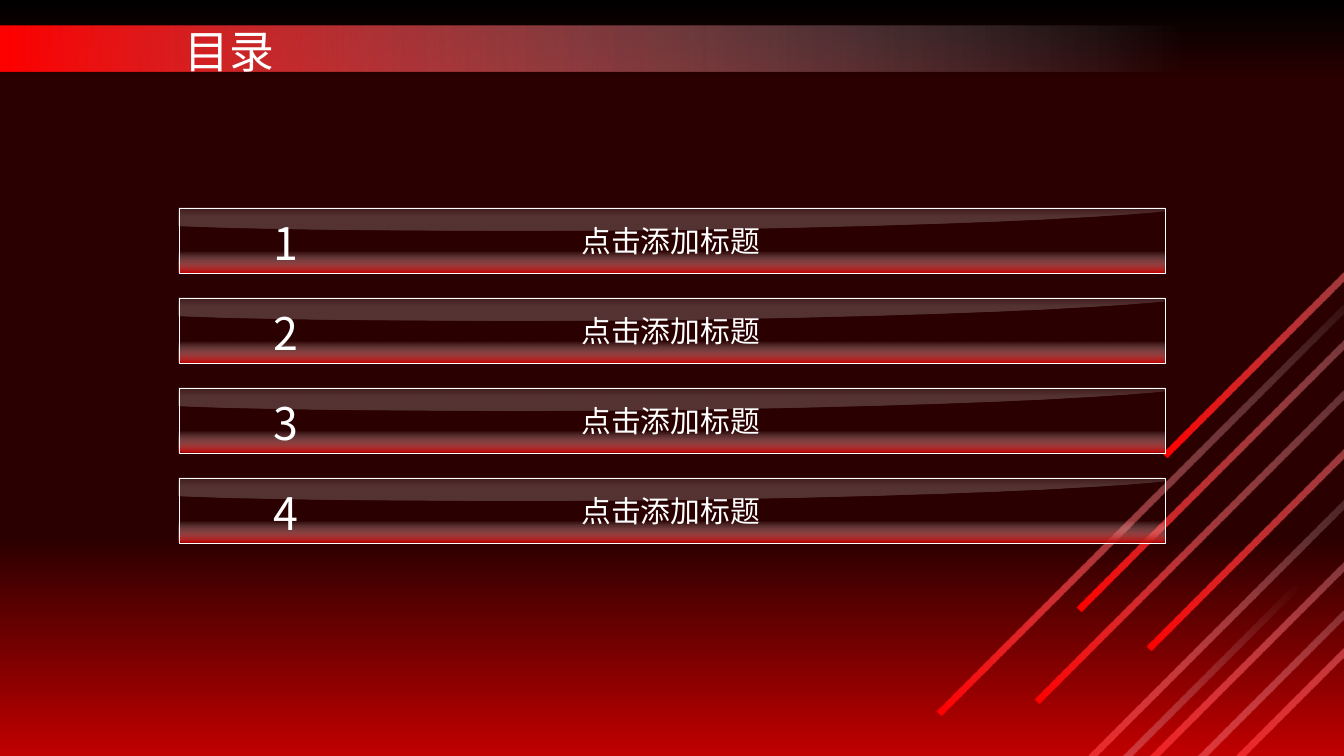
from lxml import etree
from pptx import Presentation
from pptx.dml.color import RGBColor
from pptx.enum.shapes import MSO_SHAPE as Shape
from pptx.enum.text import MSO_AUTO_SIZE as AutoSize
from pptx.oxml import parse_xml
from pptx.oxml.ns import nsdecls, qn
from pptx.util import Pt

PX = 914400 / 134.4
WIDTH, HEIGHT = 1344, 756

BLACK = RGBColor(0x00, 0x00, 0x00)
MAROON = RGBColor(0x2A, 0x00, 0x00)
CRIMSON = RGBColor(0xC0, 0x00, 0x00)
RED = RGBColor(0xFF, 0x00, 0x00)
MIST = RGBColor(0xE1, 0xE8, 0xF5)
WHITE = RGBColor(0xFF, 0xFF, 0xFF)


def paint(shape, stops):
    """Fill with a top-to-bottom gradient of (position %, colour, opacity %)."""
    shape.shadow.inherit = False
    shape.line.fill.background()
    marks = "".join(
        f'<a:gs pos="{pos * 1000}"><a:srgbClr val="{color}">'
        f'<a:alpha val="{opacity * 1000}"/></a:srgbClr></a:gs>'
        for pos, color, opacity in stops)
    gradient = parse_xml(
        f'<a:gradFill {nsdecls("a")} rotWithShape="1"><a:gsLst>{marks}</a:gsLst>'
        '<a:lin ang="5400000" scaled="0"/></a:gradFill>')
    shape.fill.background()
    no_fill = shape._element.spPr.find(qn("a:noFill"))
    no_fill.getparent().replace(no_fill, gradient)


def write(shapes, text, box, size, font_name, wrap):
    textbox = shapes.add_textbox(*[round(v * PX) for v in box])
    frame = textbox.text_frame
    frame.word_wrap = wrap
    frame.auto_size = AutoSize.SHAPE_TO_FIT_TEXT
    run = frame.paragraphs[0].add_run()
    run.text = text
    run.font.size = Pt(size)
    run.font.color.rgb = WHITE
    run.font.name = font_name
    east_asian = etree.SubElement(run.font._element, qn("a:ea"))
    east_asian.set("typeface", font_name)


prs = Presentation()
prs.slide_width = round(WIDTH * PX)
prs.slide_height = round(HEIGHT * PX)
slide = prs.slides.add_slide(prs.slide_layouts[6])

# Backdrop
backdrop = slide.shapes.add_shape(
    Shape.RECTANGLE, 0, 0, prs.slide_width, prs.slide_height)
paint(backdrop, [(0, BLACK, 100), (11, MAROON, 100),
                 (71, MAROON, 100), (100, CRIMSON, 100)])

# Title band and diagonal streaks: left, top, width, height, rotation
band = (649, -623, 46, 1344, 90)
streak_corners = [
    (1279, 328), (1236, 261), (1106, 426), (1395, 250), (1321, 238),
    (1279, 108), (1407, -138), (1181, 120), (1391, 55), (1321, 16),
]
streaks = [(left, top, 7, 695, 45) for left, top in streak_corners]
for *box, rotation in [band] + streaks:
    beam = slide.shapes.add_shape(Shape.RECTANGLE, *[round(v * PX) for v in box])
    beam.rotation = rotation
    beam._element.spPr.find(qn("a:xfrm")).set("flipH", "1")
    paint(beam, [(12, MIST, 0), (100, RED, 100)])

write(slide.shapes, "目录", (171, 17, 161, 67), 24, "Noto Sans CJK SC", True)

ROW_LEFT, ROW_TOP, ROW_WIDTH, ROW_HEIGHT, ROW_STEP = 179, 208, 986, 65, 90
ROW_RIGHT = ROW_LEFT + ROW_WIDTH

# Gloss: straight top and right side, then two Bezier curves back to the left
gloss_corners = [(ROW_LEFT, 0), (ROW_RIGHT, 0), (ROW_RIGHT, 4)]
gloss_curves = [(1083, 12), (884, 19), (650, 22), (454, 23), (281, 22), (ROW_LEFT, 18)]

# Contents rows: entry and width of its number
entries = [("点击添加标题", number_width) for number_width in (38, 51, 52, 54)]
for index, (entry, number_width) in enumerate(entries):
    top = ROW_TOP + index * ROW_STEP
    row = slide.shapes.add_group_shape().shapes

    bar = row.add_shape(
        Shape.RECTANGLE,
        *[round(v * PX) for v in (ROW_LEFT, top, ROW_WIDTH, ROW_HEIGHT)])
    paint(bar, [(66, WHITE, 0), (100, CRIMSON, 100)])
    bar.line.color.rgb = WHITE
    bar.line.width = Pt(0.25)

    outline = [(round(x * PX), round((top + y) * PX))
               for x, y in gloss_corners + gloss_curves]
    builder = row.build_freeform(*outline[0])
    builder.add_line_segments(outline[1:], close=True)
    gloss = builder.convert_to_shape()
    segments = list(gloss._element.iter(qn("a:lnTo")))[len(gloss_corners) - 1:]
    for first in range(0, len(gloss_curves), 3):
        curve = etree.Element(qn("a:cubicBezTo"))
        segments[first].addprevious(curve)
        for segment in segments[first:first + 3]:
            curve.append(segment[0])
            segment.getparent().remove(segment)
    paint(gloss, [(0, WHITE, 10), (38, WHITE, 20)])

    write(row, entry, (568, top + 8, 208, 50), 16, "Noto Sans CJK SC", False)
    write(row, str(index + 1), (260, top + 1, number_width, 67), 24,
          "Noto Sans CJK JP", False)

prs.save("out.pptx")
